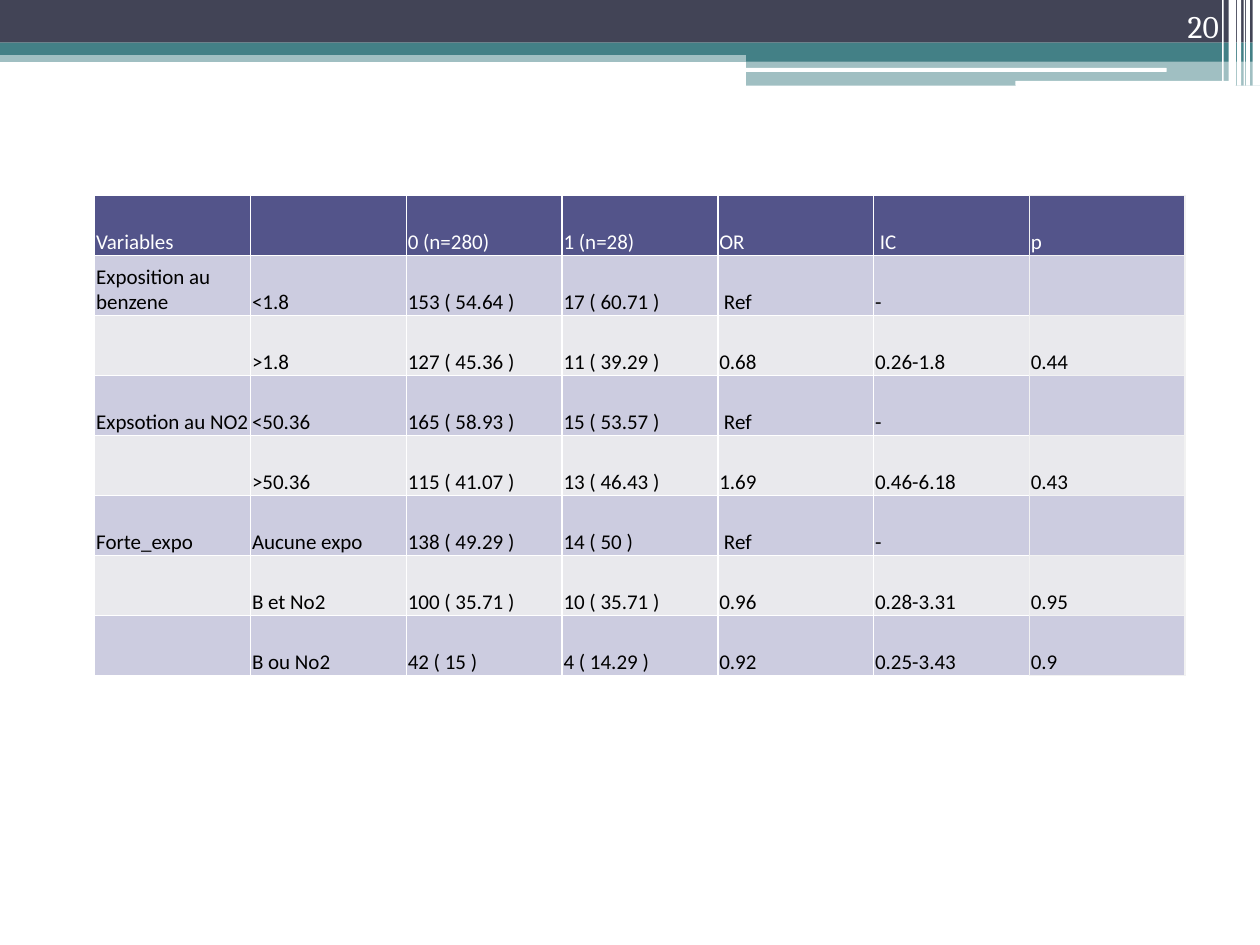
"""Build the odds-ratio table slide with its banded header."""
from lxml.etree import SubElement
from pptx import Presentation
from pptx.dml.color import RGBColor
from pptx.enum.shapes import MSO_SHAPE
from pptx.enum.text import MSO_ANCHOR, PP_ALIGN
from pptx.oxml.ns import qn
from pptx.util import Cm, Pt

THEME = {
    "dark": "424456", "teal": "438086", "white": "FFFFFF", "black": "000000",
    "header": "53548A", "odd": "CCCCE0", "even": "E9E9ED", "pale": "F2F2F2",
    "table_font": "Calibri", "table_size": 12,
    "number_font": "Cambria", "number_size": 18,
}

SLIDE_NUMBER = "20"
ROWS = [
    ("Variables", "", "0 (n=280)", "1 (n=28)", "OR", "\u00a0IC ", "p"),
    ("Exposition au benzene", "<1.8", "153 ( 54.64 )", "17 ( 60.71 )", "\u00a0Ref", "-", ""),
    ("", ">1.8", "127 ( 45.36 )", "11 ( 39.29 )", "0.68", "0.26-1.8", "0.44"),
    ("Expsotion au NO2", "<50.36", "165 ( 58.93 )", "15 ( 53.57 )", "\u00a0Ref", "-", ""),
    ("", ">50.36", "115 ( 41.07 )", "13 ( 46.43 )", "1.69", "0.46-6.18", "0.43"),
    ("Forte_expo", "Aucune expo", "138 ( 49.29 )", "14 ( 50 )", "\u00a0Ref", "-", ""),
    ("", "B et No2", "100 ( 35.71 )", "10 ( 35.71 )", "0.96", "0.28-3.31", "0.95"),
    ("", "B ou No2", "42 ( 15 )", "4 ( 14.29 )", "0.92", "0.25-3.43", "0.9"),
]

BANDS = [
    (0, 1.02, 25.4, 0.23, "teal", 50),
    (0, 0, 25.4, 0.86, "dark", 100),
    (0, 0.86, 25.4, 0.25, "teal", 100),
    (15.04, 0.99, 10.36, 0.25, "teal", 100),
    (15.04, 1.22, 10.36, 0.51, "teal", 50),
]
ROUNDED_LINES = [(15.01, 1.37, 8.51, 0.08), (20.47, 1.63, 4.45, 0.1)]
STRIPES = [
    (25.25, 0.15, 1.73), (25.12, 0.08, 1.73), (25.07, 0.03, 1.73),
    (24.94, 0.08, 1.73), (24.77, 0.15, 1.63), (24.64, 0.03, 1.63),
]
TABLE_LEFT, TABLE_TOP, COLUMN_WIDTH, ROW_HEIGHT = 1.91, 3.94, 3.14, 1.21


def color(name):
    return RGBColor.from_string(THEME[name])


def add_bar(slide, kind, left, top, width, height, fill, opacity=100):
    bar = slide.shapes.add_shape(kind, Cm(left), Cm(top), Cm(width), Cm(height))
    bar.shadow.inherit = False
    bar.line.fill.background()
    bar.fill.solid()
    bar.fill.fore_color.rgb = color(fill)
    if opacity < 100:
        tint = bar.fill._xPr.find(".//" + qn("a:srgbClr"))
        SubElement(tint, qn("a:alpha"), val=str(opacity * 1000))


def style_text(para, font, size, fill):
    for span in para.runs:
        span.font.name = THEME[font]
        span.font.size = Pt(THEME[size])
        span.font.bold = False
        span.font.color.rgb = color(fill)


def set_borders(cell, sides):
    properties = cell._tc.get_or_add_tcPr()
    for position, (side, fill) in enumerate(sides.items()):
        line = SubElement(properties, qn("a:ln" + side), w=str(Pt(1)))
        solid = SubElement(line, qn("a:solidFill"))
        SubElement(solid, qn("a:srgbClr"), val=THEME[fill])
        properties.remove(line)
        properties.insert(position, line)


def fill_cell(cell, text, row, column, last_column):
    cell.text_frame.text = text
    cell.vertical_anchor = MSO_ANCHOR.BOTTOM
    cell.margin_left = cell.margin_right = cell.margin_top = Cm(0.03)
    cell.margin_bottom = 0
    style_text(cell.text_frame.paragraphs[0], "table_font", "table_size",
               "black" if row else "white")
    cell.fill.solid()
    cell.fill.fore_color.rgb = color(("odd" if row % 2 else "even") if row else "header")
    sides = dict.fromkeys("LRTB", "pale" if column == last_column else "white")
    if column == last_column - 1:
        sides["R"] = "pale"
    set_borders(cell, sides)


def add_results_table(slide):
    row_count, column_count = len(ROWS), len(ROWS[0])
    table = slide.shapes.add_table(
        row_count, column_count, Cm(TABLE_LEFT), Cm(TABLE_TOP),
        Cm(COLUMN_WIDTH * column_count), Cm(ROW_HEIGHT * row_count)).table
    for column in table.columns:
        column.width = Cm(COLUMN_WIDTH)
    for row in table.rows:
        row.height = Cm(ROW_HEIGHT)
    for row, texts in enumerate(ROWS):
        for column, text in enumerate(texts):
            fill_cell(table.cell(row, column), text, row, column, column_count - 1)


def add_slide_number(slide):
    box = slide.shapes.add_textbox(Cm(22.71), 0, Cm(2.11), Cm(1.02))
    frame = box.text_frame
    frame.word_wrap = True
    frame.vertical_anchor = MSO_ANCHOR.BOTTOM
    frame.text = SLIDE_NUMBER
    frame.paragraphs[0].alignment = PP_ALIGN.RIGHT
    style_text(frame.paragraphs[0], "number_font", "number_size", "white")


deck = Presentation()
deck.slide_width, deck.slide_height = Cm(25.4), Cm(19.05)
page = deck.slides.add_slide(deck.slide_layouts[6])
for band in BANDS:
    add_bar(page, MSO_SHAPE.RECTANGLE, *band)
for rounded_line in ROUNDED_LINES:
    add_bar(page, MSO_SHAPE.ROUNDED_RECTANGLE, *rounded_line, "white")
for left, width, height in STRIPES:
    add_bar(page, MSO_SHAPE.RECTANGLE, left, 0, width, height, "white")
add_slide_number(page)
add_results_table(page)
deck.save("out.pptx")
